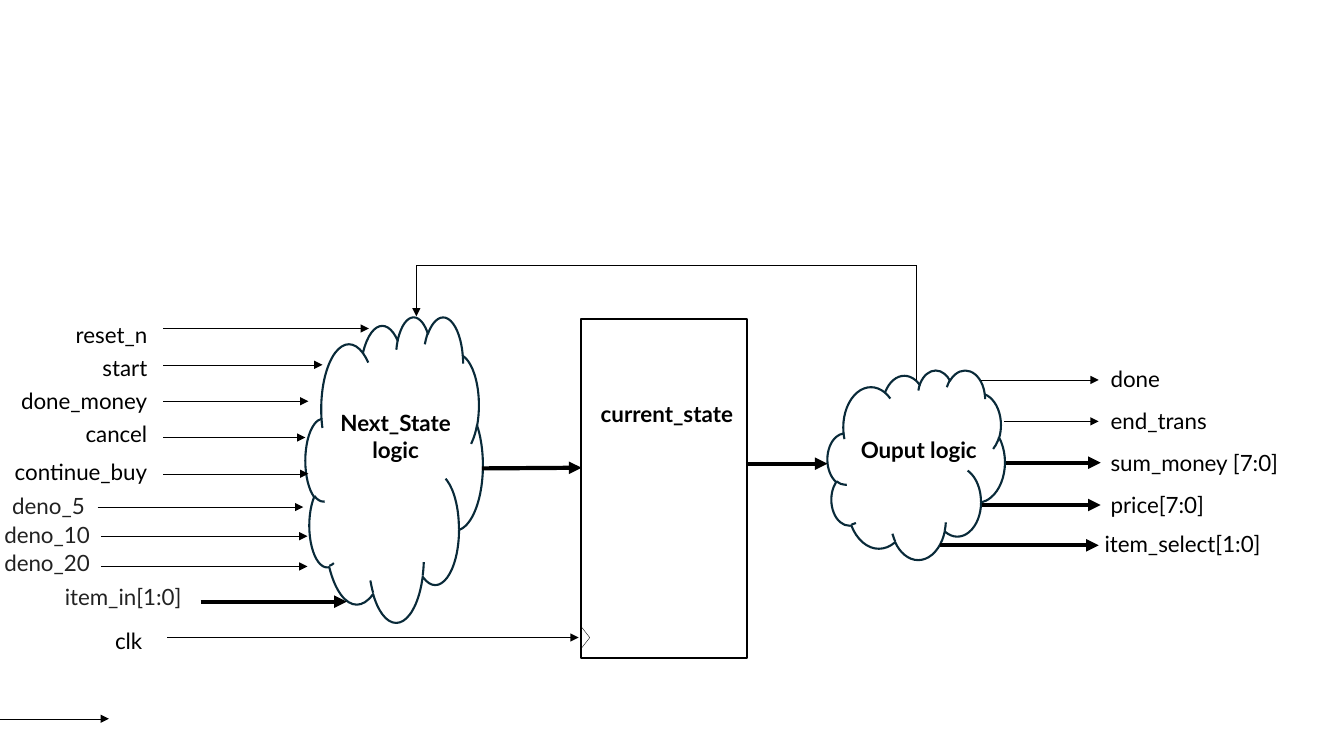
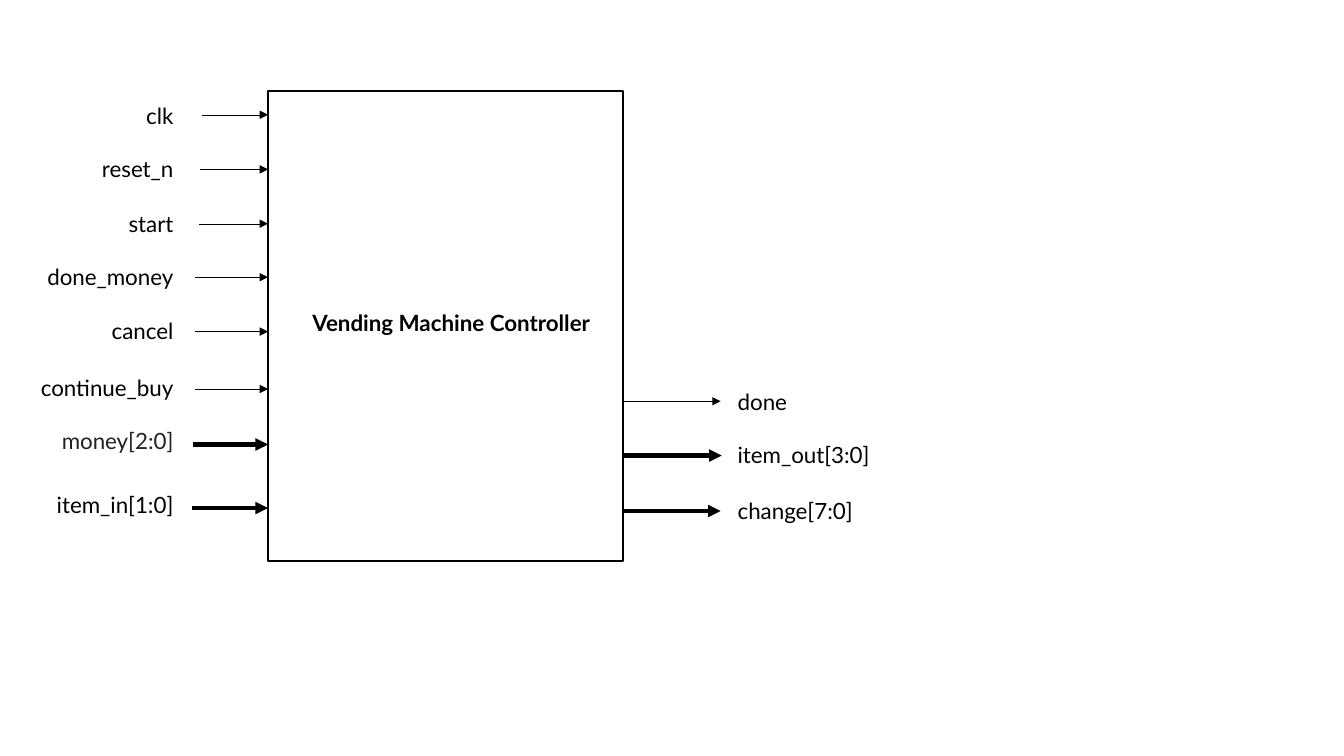
"""Build two block diagrams of a vending machine controller."""
from lxml.etree import SubElement
from pptx import Presentation
from pptx.dml.color import RGBColor
from pptx.enum.shapes import MSO_CONNECTOR, MSO_SHAPE
from pptx.enum.text import MSO_AUTO_SIZE, PP_ALIGN
from pptx.oxml.ns import qn
from pptx.util import Pt

COLOURS = {"ink": "000000", "grey": "222222", "cloud": "092A39"}
THIN, BUS, OUTLINE = 0.25, 3, 1.5
LABEL_HEIGHT = 26.6


def add_label(page, text, left, top, width, align=PP_ALIGN.LEFT, colour="ink", bold=False):
    """Add a one-paragraph label."""
    box = page.shapes.add_textbox(Pt(left), Pt(top), Pt(width), Pt(LABEL_HEIGHT))
    frame = box.text_frame
    frame.word_wrap = True
    frame.auto_size = MSO_AUTO_SIZE.SHAPE_TO_FIT_TEXT
    if align == PP_ALIGN.RIGHT:
        frame.margin_left = 0
    frame.text = text
    paragraph = frame.paragraphs[0]
    paragraph.alignment = align
    font = paragraph.runs[0].font
    font.name, font.size, font.bold = "Lato", Pt(16), bold
    font.color.rgb = RGBColor.from_string(COLOURS[colour])


def add_wire(page, x1, y1, x2, y2, weight=THIN, arrow=True):
    """Add a straight wire, with an arrowhead at its end if wanted."""
    wire = page.shapes.add_connector(MSO_CONNECTOR.STRAIGHT, Pt(x1), Pt(y1), Pt(x2), Pt(y2))
    wire.line.color.rgb = RGBColor.from_string(COLOURS["ink"])
    wire.line.width = Pt(weight)
    properties = wire._element.spPr
    if arrow:
        SubElement(properties.find(qn("a:ln")), qn("a:tailEnd"), type="triangle")
    SubElement(properties, qn("a:effectLst"))


deck = Presentation()
deck.slide_width, deck.slide_height = Pt(960), Pt(540)
state_page, block_page = [deck.slides.add_slide(deck.slide_layouts[6]) for _ in range(2)]

blocks = [
    (state_page, MSO_SHAPE.RECTANGLE, 414.7, 228.2, 118.8, 241.9, "ink", OUTLINE, 0),
    (state_page, MSO_SHAPE.CLOUD, 218.2, 226, 126.7, 218.2, "cloud", OUTLINE, 0),
    (state_page, MSO_SHAPE.CLOUD, 591.1, 264.2, 126.7, 135.4, "cloud", OUTLINE, 0),
    (state_page, MSO_SHAPE.ISOSCELES_TRIANGLE, 409.7, 452.2, 16.6, 6.5, "ink", THIN, 90),
    (block_page, MSO_SHAPE.RECTANGLE, 191.5, 64.8, 253.4, 336.2, "ink", OUTLINE, 0),
]
for page, kind, left, top, width, height, colour, weight, rotation in blocks:
    block = page.shapes.add_shape(kind, Pt(left), Pt(top), Pt(width), Pt(height))
    block.shadow.inherit = False
    block.fill.background()
    block.line.color.rgb = RGBColor.from_string(COLOURS[colour])
    block.line.width = Pt(weight)
    block.rotation = rotation

block_names = [
    (state_page, "current_state", 406.1, 282.2, 124.6, PP_ALIGN.RIGHT),
    (state_page, "Next_State logic", 220.3, 288.7, 124.6, PP_ALIGN.CENTER),
    (state_page, "Ouput logic", 594, 308.2, 124.6, PP_ALIGN.CENTER),
    (block_page, "Vending Machine Controller", 216, 217.4, 241.2, PP_ALIGN.LEFT),
]
for page, name, left, top, width, align in block_names:
    add_label(page, name, left, top, width, align, bold=True)

inputs = [
    (state_page, "reset_n", 112.3, 226, 116.6, 263.5, 234.7, THIN, "ink"),
    (state_page, "start", 112.3, 249.1, 116.6, 230.4, 260.6, THIN, "ink"),
    (state_page, "done_money", 112.3, 272.9, 116.6, 220.3, 286.6, THIN, "ink"),
    (state_page, "cancel", 112.3, 296.6, 116.6, 218.2, 312.5, THIN, "ink"),
    (state_page, "continue_buy", 112.3, 324, 116.6, 220.3, 338.4, THIN, "ink"),
    (state_page, "deno_5", 67.7, 347.8, 69.8, 216.7, 362.2, THIN, "grey"),
    (state_page, "deno_10", 71.3, 368.6, 72, 219.6, 383, THIN, "grey"),
    (state_page, "deno_20", 71.3, 388.8, 72, 219.6, 404.6, THIN, "grey"),
    (state_page, "item_in[1:0]", 136.8, 413.3, 143.3, 247.7, 429.8, BUS, "grey"),
    (state_page, "clk", 108.7, 444.2, 119.5, 413.3, 455.4, THIN, "ink"),
    (block_page, "clk", 131, 69.1, 144, 191.5, 82, THIN, "ink"),
    (block_page, "reset_n", 131, 107.3, 142.6, 191.5, 121, THIN, "ink"),
    (block_page, "start", 131, 146.9, 141.8, 191.5, 159.8, THIN, "ink"),
    (block_page, "done_money", 131, 184.3, 139, 191.5, 198, THIN, "ink"),
    (block_page, "cancel", 131, 223.2, 139, 191.5, 236.9, THIN, "ink"),
    (block_page, "continue_buy", 131, 263.5, 139, 191.5, 277.9, THIN, "ink"),
    (block_page, "money[2:0]", 131, 301.7, 138.2, 191.5, 317.5, BUS, "grey"),
    (block_page, "item_in[1:0]", 131, 347, 136.8, 191.5, 362.9, BUS, "ink"),
]
for page, name, right, top, start, end, y, weight, colour in inputs:
    add_label(page, name, 0, top, right, PP_ALIGN.RIGHT, colour)
    add_wire(page, start, y, end, y, weight)

outputs = [
    (state_page, "done", 786.2, 257, 700.6, 784.8, 271.4, THIN),
    (state_page, "end_trans", 786.2, 287.3, 717.1, 784.8, 301, THIN),
    (state_page, "sum_money [7:0]", 786.2, 317.5, 718.6, 786.2, 330.5, BUS),
    (state_page, "price[7:0]", 786.2, 347, 701.3, 786.2, 360.7, BUS),
    (state_page, "item_select[1:0]", 781.9, 375.1, 671.8, 784.8, 389.5, BUS),
    (block_page, "done", 519.8, 273.6, 445.3, 514.8, 286.6, THIN),
    (block_page, "item_out[3:0]", 519.8, 311.8, 445.3, 515.5, 325.4, BUS),
    (block_page, "change[7:0]", 519.8, 351.4, 445.3, 514.8, 365, BUS),
]
for page, name, left, top, start, end, y, weight in outputs:
    add_label(page, name, left, top, 142.6)
    add_wire(page, start, y, end, y, weight)

add_wire(state_page, 344.2, 334.6, 415.4, 334.1, BUS)
add_wire(state_page, 532.8, 331.2, 591.1, 331.2, BUS)
add_wire(state_page, 0, 513.4, 77.8, 513.4)

feedback_left, feedback_right, feedback_top = 297.4, 654.5, 189.4
add_wire(state_page, feedback_right, feedback_top, feedback_right, 271.4, arrow=False)
add_wire(state_page, feedback_left, feedback_top, feedback_right, feedback_top, arrow=False)
add_wire(state_page, feedback_left, feedback_top, feedback_left, 226)

deck.save("out.pptx")
